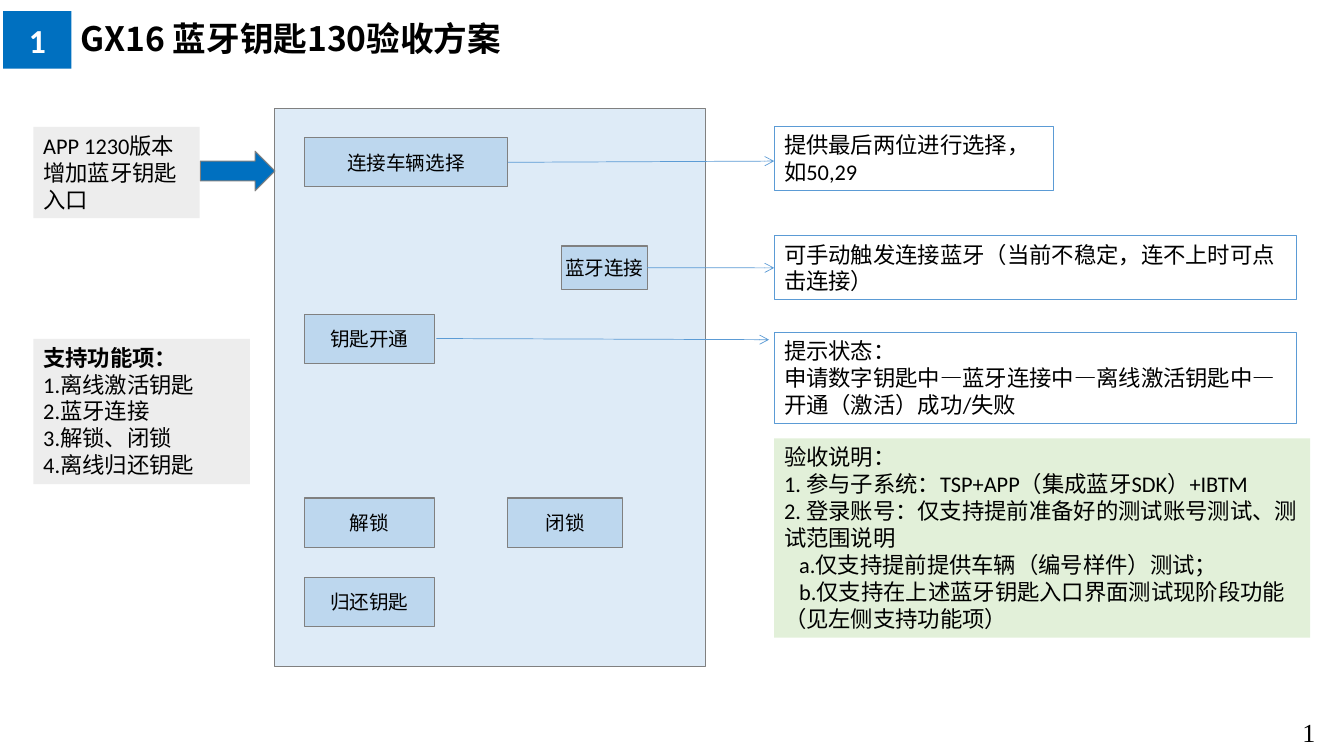
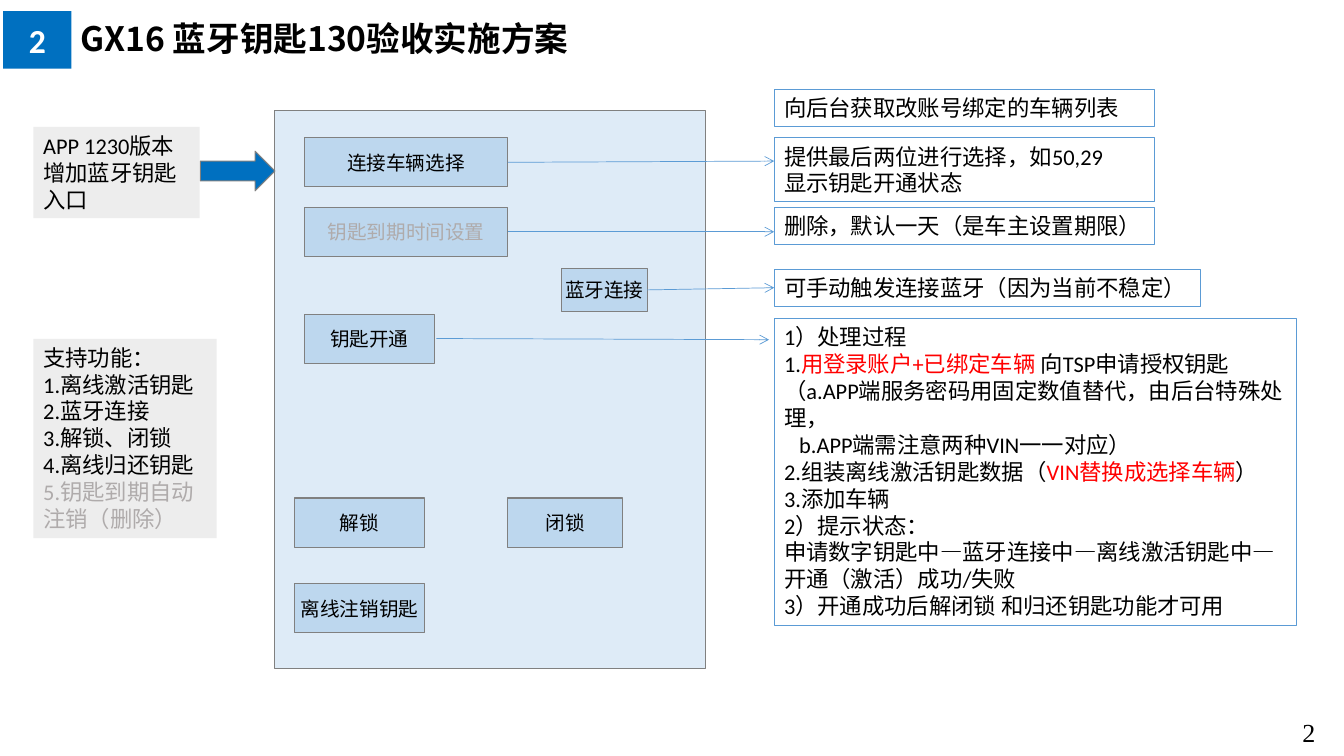
from lxml import etree
from pptx import Presentation
from pptx import util as u
from pptx.dml.color import RGBColor
from pptx.enum import shapes, text
from pptx.oxml.ns import qn

BLACK, WHITE, RED, MUTED = "000000", "FFFFFF", "FF0000", "AFABAB"
BLUE, PALE_BLUE, BUTTON_BLUE, LINE_BLUE = "0070C0", "DEEBF7", "BDD7EE", "5B9BD5"
GREY, EDGE_GREY, GREEN = "EDEDED", "808080", "E2F0D9"
LATIN, CJK, SERIF = "Calibri", "Noto Sans CJK SC", "Times New Roman"
SIDE_X, BUTTON_X, CALLOUT_X = 0.84, 7.67, 19.51
WIDE_BUTTON, BUTTON = 5.13, 3.28
WIDE_CALLOUT, MEDIUM_CALLOUT = 13.16, 9.58
STATES = "申请数字钥匙中—蓝牙连接中—离线激活钥匙中—开通（激活）成功/失败"
FUNCTIONS = ["1.离线激活钥匙", "2.蓝牙连接", "3.解锁、闭锁", "4.离线归还钥匙"]


def rgb(code):
    return RGBColor.from_string(code)


def write_text(shape, lines, size=16, font=LATIN, color=BLACK, bold=False,
               align=text.PP_ALIGN.LEFT, anchor=text.MSO_ANCHOR.TOP,
               margins=None, wrap=True, indented=()):
    frame = shape.text_frame
    frame.word_wrap = wrap
    frame.vertical_anchor = anchor
    if margins:
        (frame.margin_left, frame.margin_top,
         frame.margin_right, frame.margin_bottom) = map(u.Cm, margins)
    for index, line in enumerate(lines):
        paragraph = frame.paragraphs[0] if index == 0 else frame.add_paragraph()
        paragraph.alignment = align
        for part in [line] if isinstance(line, (str, tuple)) else line:
            words, changes = part if isinstance(part, tuple) else (part, {})
            run = paragraph.add_run()
            run.text = words
            run.font.size = u.Pt(size)
            run.font.name = font
            run.font.bold = changes.get("bold", bold)
            run.font.color.rgb = rgb(changes.get("color", color))
    for index, paragraph in enumerate(shape.element.iter(qn("a:p"))):
        if index in indented:
            paragraph.get_or_add_pPr().set("indent", str(u.Cm(0.38)))
    for latin in shape.element.iter(qn("a:latin")):
        east_asian = etree.Element(qn("a:ea"))
        east_asian.set("typeface", CJK)
        latin.addnext(east_asian)


class Deck:
    def __init__(self):
        self.presentation = Presentation()
        self.presentation.slide_width = u.Cm(33.87)
        self.presentation.slide_height = u.Cm(19.05)
        self.slide = None

    def start_slide(self, number, title):
        layout = self.presentation.slide_layouts[6]
        self.slide = self.presentation.slides.add_slide(layout)
        heading = self.text_box(1.78, 0.46, 14.78, 1.22)
        write_text(heading, [title], size=24, font=CJK, bold=True,
                   margins=(0.25, 0, 0.25, 0))
        badge = self.block(0.08, 0.28, 1.72, 1.45, fill=BLUE)
        write_text(badge, [str(number)], size=24, color=WHITE, bold=True,
                   align=text.PP_ALIGN.CENTER, anchor=text.MSO_ANCHOR.MIDDLE)
        page = self.text_box(31.5, 17.83, 1.9, 1.22)
        write_text(page, [str(number)], size=18.6, font=SERIF,
                   align=text.PP_ALIGN.RIGHT, anchor=text.MSO_ANCHOR.MIDDLE)
        field = next(page.element.iter(qn("a:r")))
        field.tag = qn("a:fld")
        field.set("id", "{B6F15528-21DE-4FAA-801E-634DDDAF4B2B}")
        field.set("type", "slidenum")

    def text_box(self, left, top, width, height):
        return self.slide.shapes.add_textbox(*map(u.Cm, (left, top, width, height)))

    def block(self, left, top, width, height, fill=None, edge=None,
              kind=shapes.MSO_SHAPE.RECTANGLE):
        shape = self.slide.shapes.add_shape(
            kind, *map(u.Cm, (left, top, width, height)))
        shape.shadow.inherit = False
        if fill:
            shape.fill.solid()
            shape.fill.fore_color.rgb = rgb(fill)
        else:
            shape.fill.background()
        if edge:
            shape.line.color.rgb = rgb(edge)
            shape.line.width = u.Pt(0.75)
        else:
            shape.line.fill.background()
        return shape

    def button(self, label, left, top, width=BUTTON, height=1.24, color=BLACK):
        shape = self.block(left, top, width, height, BUTTON_BLUE, EDGE_GREY)
        write_text(shape, [label], size=14, font=CJK, color=color,
                   align=text.PP_ALIGN.CENTER, anchor=text.MSO_ANCHOR.MIDDLE,
                   margins=(0, 0, 0, 0))
        return shape

    def note(self, lines, left, top, width, rows, fill=None, edge=None, indented=()):
        shape = self.block(left, top, width, 0.26 + 0.68 * rows, fill, edge)
        write_text(shape, lines, indented=indented)
        shape.text_frame.auto_size = text.MSO_AUTO_SIZE.SHAPE_TO_FIT_TEXT
        return shape

    def callout(self, lines, top, width, rows, indented=()):
        return self.note(lines, CALLOUT_X, top, width, rows,
                         edge=LINE_BLUE, indented=indented)

    def arrow(self, start, end, source=None, target=None):
        line = self.slide.shapes.add_connector(
            shapes.MSO_CONNECTOR.STRAIGHT, *map(u.Cm, start + end))
        if source is not None:
            line.begin_connect(source, 3)
        if target is not None:
            line.end_connect(target, 1)
        line.line.color.rgb = rgb(LINE_BLUE)
        line.line.width = u.Pt(0.5)
        properties = line.element.spPr
        head = etree.SubElement(properties.find(qn("a:ln")), qn("a:tailEnd"))
        head.set("type", "arrow")
        etree.SubElement(properties, qn("a:effectLst"))

    def key_screen(self, top, bluetooth_top):
        self.block(6.93, top, 10.85, 14.05, PALE_BLUE, EDGE_GREY)
        self.note(["APP 1230版本", "增加蓝牙钥匙入口"], SIDE_X, 3.2, 4.19, 3, GREY)
        self.block(5.05, 3.81, 1.88, 1, BLUE, EDGE_GREY,
                   shapes.MSO_SHAPE.RIGHT_ARROW)
        vehicle = self.button("连接车辆选择", BUTTON_X, 3.47, WIDE_BUTTON)
        self.arrow((12.8, 4.09), (CALLOUT_X, 4.06), vehicle)
        self.button("钥匙开通", BUTTON_X, 7.92)
        self.arrow((11, 8.53), (19.38, 8.56))
        self.button("闭锁", 12.8, 12.55, 2.9)
        return self.button("蓝牙连接", 14.15, bluetooth_top, 2.16, 1.09)


def acceptance_plan(deck):
    deck.start_slide(1, "GX16 蓝牙钥匙130验收方案")
    bluetooth = deck.key_screen(2.74, 6.2)
    deck.button("解锁", BUTTON_X, 12.55)
    deck.button("归还钥匙", BUTTON_X, 14.55)
    deck.callout(["提供最后两位进行选择，如50,29"], 3.18, 7.04, 2)
    manual = deck.callout(["可手动触发连接蓝牙（当前不稳定，连不上时可点击连接）"],
                          5.94, WIDE_CALLOUT, 2)
    deck.arrow((16.31, 6.75), (CALLOUT_X, 6.75), bluetooth, manual)
    deck.callout(["提示状态：", STATES], 8.38, WIDE_CALLOUT, 3)
    deck.note([("支持功能项：", {"bold": True})] + FUNCTIONS,
              SIDE_X, 8.54, 5.46, 5, GREY)
    deck.note(["验收说明：",
               "1. 参与子系统：TSP+APP（集成蓝牙SDK）+IBTM",
               "2. 登录账号：仅支持提前准备好的测试账号测试、测试范围说明",
               "a.仅支持提前提供车辆（编号样件）测试；",
               "b.仅支持在上述蓝牙钥匙入口界面测试现阶段功能（见左侧支持功能项）"],
              CALLOUT_X, 11.05, 13.51, 7, GREEN, indented=(3, 4))


def implementation_plan(deck):
    deck.start_slide(2, "GX16 蓝牙钥匙130验收实施方案")
    bluetooth = deck.key_screen(2.79, 6.76)
    expiry = deck.button("钥匙到期时间设置", BUTTON_X, 5.22, WIDE_BUTTON, color=MUTED)
    deck.button("解锁", 7.42, 12.55)
    deck.button("离线注销钥匙", 7.42, 14.71)
    deck.callout(["向后台获取改账号绑定的车辆列表"], 2.26, MEDIUM_CALLOUT, 1)
    deck.callout(["提供最后两位进行选择，如50,29", "显示钥匙开通状态"],
                 3.47, MEDIUM_CALLOUT, 2)
    deck.callout(["删除，默认一天（是车主设置期限）"], 5.22, MEDIUM_CALLOUT, 1)
    deck.arrow((12.8, 5.84), (CALLOUT_X, 5.84), expiry)
    manual = deck.callout(["可手动触发连接蓝牙（因为当前不稳定）"], 6.78, 10.74, 1)
    deck.arrow((16.31, 7.3), (CALLOUT_X, 7.25), bluetooth, manual)
    deck.callout(["1）处理过程",
                  ["1.", ("用登录账户+已绑定车辆", {"color": RED}), " 向TSP申请授权钥匙"],
                  "（a.APP端服务密码用固定数值替代，由后台特殊处理，",
                  "b.APP端需注意两种VIN一一对应）",
                  ["2.组装离线激活钥匙数据（", ("VIN替换成选择车辆", {"color": RED}), "）"],
                  "3.添加车辆",
                  "2）提示状态：",
                  STATES,
                  "3）开通成功后解闭锁 和归还钥匙功能才可用"],
                 8.03, WIDE_CALLOUT, 11, indented=(3,))
    deck.note(["支持功能："] + FUNCTIONS + [("5.钥匙到期自动注销（删除）", {"color": MUTED})],
              SIDE_X, 8.54, 4.62, 7, GREY)


def main():
    deck = Deck()
    acceptance_plan(deck)
    implementation_plan(deck)
    deck.presentation.save("out.pptx")


if __name__ == "__main__":
    main()
